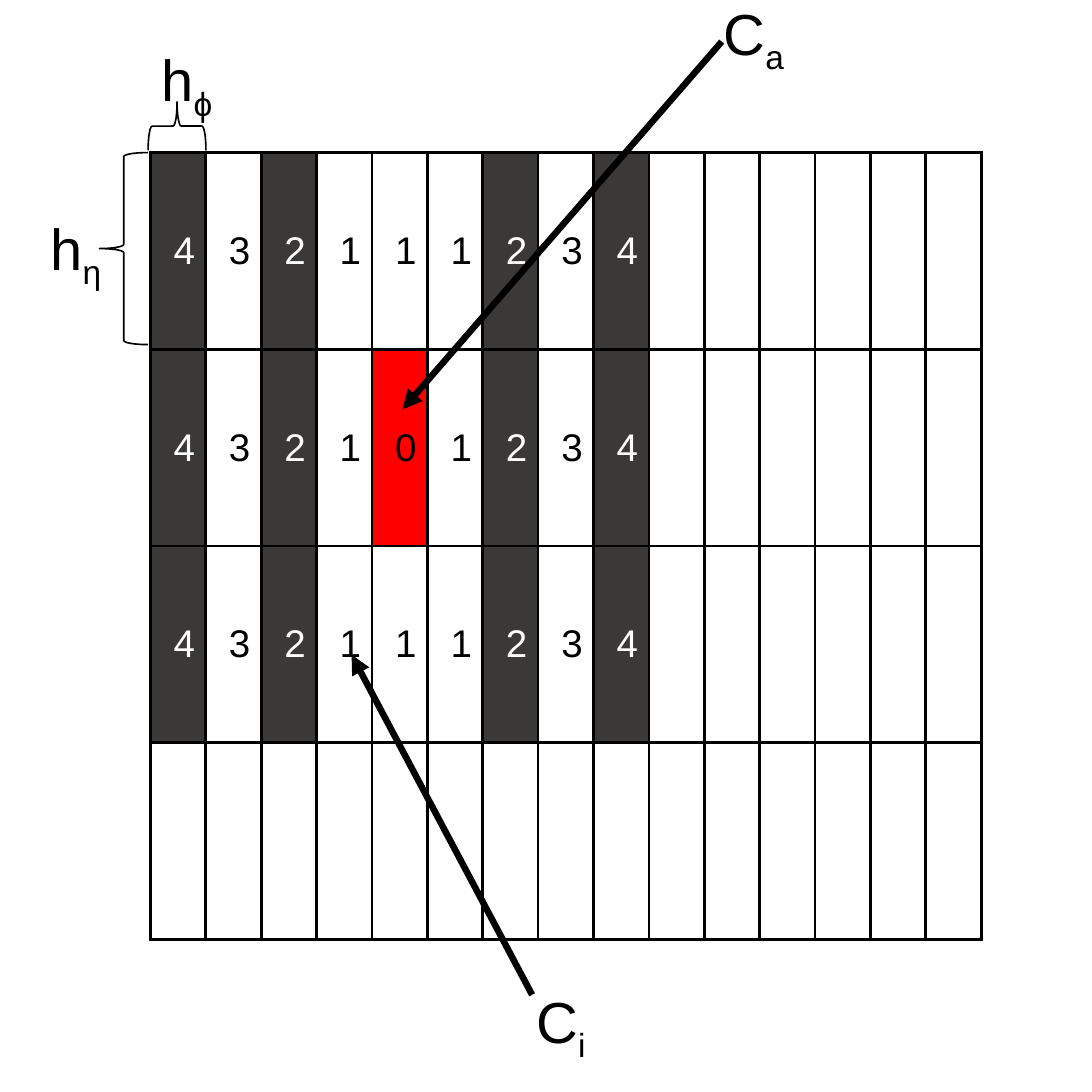
from pptx import Presentation
from pptx.dml.color import RGBColor
from pptx.enum.shapes import MSO_CONNECTOR, MSO_SHAPE
from pptx.enum.text import MSO_ANCHOR, MSO_AUTO_SIZE, PP_ALIGN
from pptx.oxml import parse_xml
from pptx.oxml.ns import nsdecls, qn
from pptx.util import Inches, Pt
from lxml.etree import SubElement

COLORS = {"black": "000000", "white": "FFFFFF", "dark": "3B3838", "red": "FF0000"}
FONT = "Arial"


def color(name):
    return RGBColor.from_string(COLORS[name])


def add_run(paragraph, text, size, color_name):
    run = paragraph.add_run()
    run.text = text
    run.font.name = FONT
    run.font.size = Pt(size)
    run.font.color.rgb = color(color_name)
    return run


presentation = Presentation()
presentation.slide_width = presentation.slide_height = Inches(4.72)
slide = presentation.slides.add_slide(presentation.slide_layouts[6])

row_count, column_count = 4, 15
active_row, active_column, reach = 1, 4, 4
frame = slide.shapes.add_table(
    row_count, column_count, Inches(0.65), Inches(0.66), Inches(3.43), Inches(3.4)
)
table = frame.table
table.first_row = table.horz_banding = False
for row in table.rows:
    row.height = Inches(0.85)
for index, column in enumerate(table.columns):
    column.width = Inches(0.23 if index else 0.24)

for row_index in range(row_count):
    for column_index in range(column_count):
        cell = table.cell(row_index, column_index)
        cell.vertical_anchor = MSO_ANCHOR.MIDDLE
        row_distance = abs(row_index - active_row)
        column_distance = abs(column_index - active_column)
        distance = max(row_distance, column_distance)
        numbered = row_distance <= 1 and distance <= reach
        is_dark = numbered and distance in (2, 4)
        if is_dark or (numbered and distance == 0):
            cell.fill.solid()
            cell.fill.fore_color.rgb = color("dark" if is_dark else "red")
        else:
            cell.fill.background()
        if numbered:
            paragraph = cell.text_frame.paragraphs[0]
            paragraph.alignment = PP_ALIGN.CENTER
            add_run(paragraph, str(distance), 12, "white" if is_dark else "black")
        properties = cell._tc.get_or_add_tcPr()
        for position, side in enumerate(("lnL", "lnR", "lnT", "lnB")):
            border = parse_xml(
                f'<a:{side} {nsdecls("a")} w="{Pt(1)}"><a:solidFill>'
                f'<a:srgbClr val="{COLORS["black"]}"/></a:solidFill></a:{side}>'
            )
            properties.insert(position, border)

for left, top, width, height, rotation in (
    (0.43, 0.66, 0.21, 0.83, 0),
    (0.66, 0.42, 0.21, 0.25, 90),
):
    brace = slide.shapes.add_shape(
        MSO_SHAPE.LEFT_BRACE, Inches(left), Inches(top), Inches(width), Inches(height)
    )
    brace.rotation = rotation
    brace.shadow.inherit = False
    brace.fill.background()
    brace.line.color.rgb = color("black")
    brace.line.width = Pt(0.5)

for start_x, start_y, end_x, end_y in ((3.12, 0.18, 1.74, 1.77), (2.3, 4.3, 1.52, 2.83)):
    arrow = slide.shapes.add_connector(
        MSO_CONNECTOR.STRAIGHT,
        Inches(start_x), Inches(start_y), Inches(end_x), Inches(end_y),
    )
    arrow.line.color.rgb = color("black")
    arrow.line.width = Pt(2)
    SubElement(arrow.line._get_or_add_ln(), qn("a:tailEnd"), type="triangle")
    SubElement(arrow._element.spPr, qn("a:effectLst"))

for symbol, subscript, left, top, width, wraps in (
    ("h", "η", 0.12, 0.87, 0.53, True),
    ("h", "ϕ", 0.6, 0.14, 0.53, True),
    ("C", "a", 3.03, -0.06, 0.47, False),
    ("C", "i", 2.22, 4.21, 0.42, False),
):
    label = slide.shapes.add_textbox(Inches(left), Inches(top), Inches(width), Inches(0.4))
    label.text_frame.word_wrap = wraps
    label.text_frame.auto_size = MSO_AUTO_SIZE.SHAPE_TO_FIT_TEXT
    paragraph = label.text_frame.paragraphs[0]
    add_run(paragraph, symbol, 18, "black")
    subscript_run = add_run(paragraph, subscript, 18, "black")
    subscript_run._r.get_or_add_rPr().set("baseline", "-25000")

presentation.save("out.pptx")
